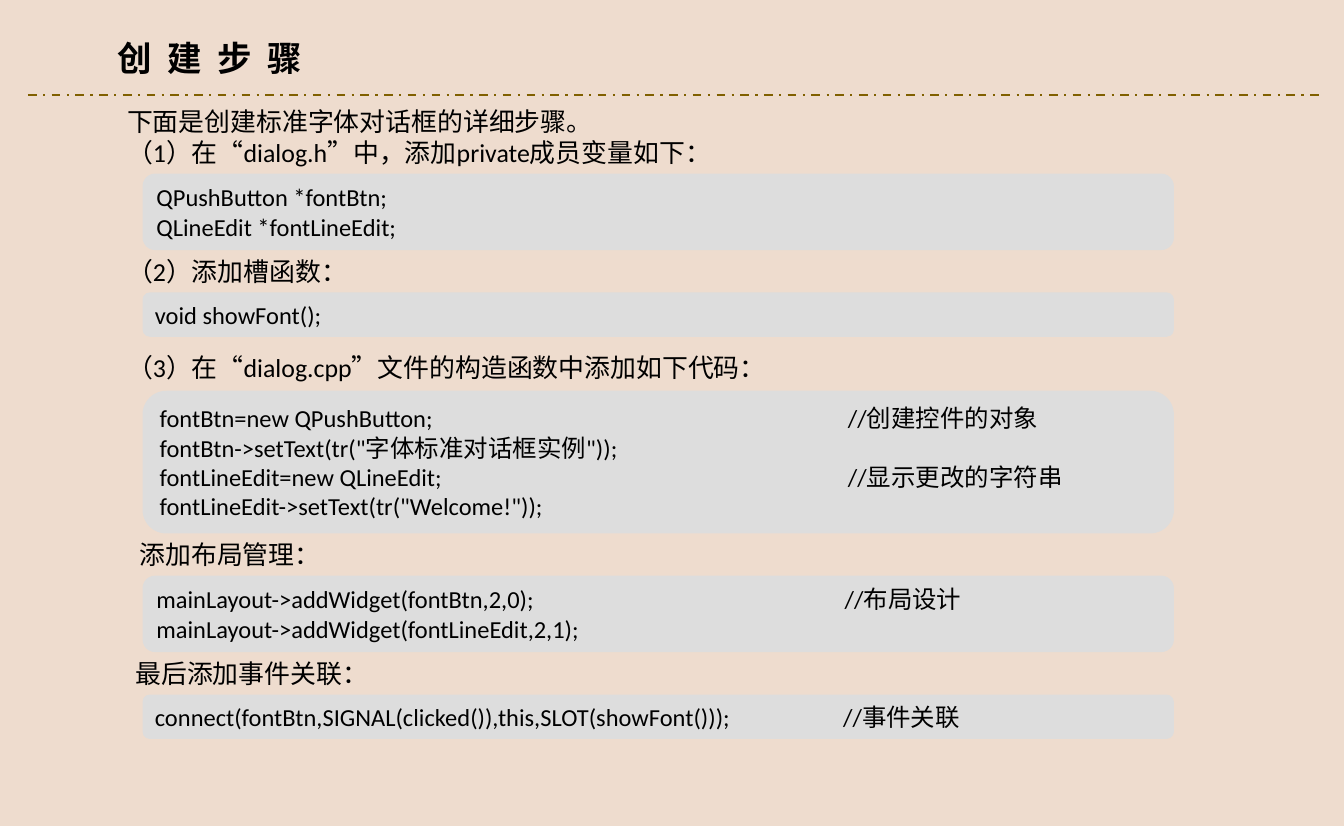
from lxml import etree
from pptx import Presentation
from pptx import util as u
from pptx.dml.color import RGBColor
from pptx.enum import dml, shapes, text
from pptx.oxml import ns

BACKGROUND = "EEDCCE"
CODE_FILL = "DDDDDD"
RULE = "806000"
INK = "000000"
COMMENT_TAB = 479
WIDTH, HEIGHT = 935.37, 575

STEPS = [
    (81.36, 69.84, 51, 53.28,
     ["下面是创建标准字体对话框的详细步骤。", "（1）在“dialog.h”中，添加private成员变量如下："],
     ["QPushButton *fontBtn;", "QLineEdit *fontLineEdit;"]),
    (81.36, 174.24, 29.3, 30.96,
     ["（2）添加槽函数："],
     ["void showFont();"]),
    (81.36, 241.2, 30.8, 99.36,
     ["（3）在“dialog.cpp”文件的构造函数中添加如下代码："],
     ["fontBtn=new QPushButton;\t//创建控件的对象",
      "fontBtn->setText(tr(\"字体标准对话框实例\"));",
      "fontLineEdit=new QLineEdit;\t//显示更改的字符串",
      "fontLineEdit->setText(tr(\"Welcome!\"));"]),
    (90, 371.4, 29.3, 53.28,
     ["添加布局管理："],
     ["mainLayout->addWidget(fontBtn,2,0);\t//布局设计",
      "mainLayout->addWidget(fontLineEdit,2,1);"]),
    (87.12, 454.2, 29.3, 30.96,
     ["最后添加事件关联："],
     ["connect(fontBtn,SIGNAL(clicked()),this,SLOT(showFont()));\t//事件关联"]),
]


def color(value):
    return RGBColor.from_string(value)


def points(*values):
    return [u.Pt(value) for value in values]


def write(shape, lines, size=18, bold=False, tab=None, spacing=None):
    frame = shape.text_frame
    frame.word_wrap = True
    frame.auto_size = text.MSO_AUTO_SIZE.SHAPE_TO_FIT_TEXT
    for index, line in enumerate(lines):
        paragraph = frame.add_paragraph() if index else frame.paragraphs[0]
        paragraph.alignment = text.PP_ALIGN.LEFT
        run = paragraph.add_run()
        run.text = line
        run.font.name = "Calibri"
        run.font.size = u.Pt(size)
        run.font.bold = bold
        run.font.color.rgb = color(INK)
        if spacing:
            run._r.get_or_add_rPr().set("spc", str(round(spacing * 100)))
        if tab and "\t" in line:
            stops = etree.SubElement(paragraph._p.get_or_add_pPr(), ns.qn("a:tabLst"))
            etree.SubElement(stops, ns.qn("a:tab"), pos=str(u.Pt(tab)), algn="l")


def add_header(slide, left, top, width, height):
    title = slide.shapes.add_textbox(*points(left + 55.44, top, 181.44, 36))
    write(title, ["创 建 步 骤"], size=24, bold=True, spacing=2.7)
    bottom = top + height
    rule = slide.shapes.add_connector(
        shapes.MSO_CONNECTOR.STRAIGHT, *points(left, bottom, left + width, bottom))
    rule.line.color.rgb = color(RULE)
    rule.line.width = u.Pt(1.5)
    rule.line.dash_style = dml.MSO_LINE.DASH_DOT
    etree.SubElement(rule._element.spPr, ns.qn("a:effectLst"))


def add_step(slide, left, top, width, heading_left, heading_height, code_height,
             heading, code):
    caption = slide.shapes.add_textbox(*points(heading_left, top, 468, heading_height))
    write(caption, heading)
    panel = slide.shapes.add_shape(
        shapes.MSO_SHAPE.ROUNDED_RECTANGLE,
        *points(left, top + heading_height, width, code_height))
    panel.shadow.inherit = False
    panel.fill.solid()
    panel.fill.fore_color.rgb = color(CODE_FILL)
    panel.line.fill.background()
    write(panel, code, size=17, tab=COMMENT_TAB)


def main():
    presentation = Presentation()
    presentation.slide_width, presentation.slide_height = points(WIDTH, HEIGHT)
    slide = presentation.slides.add_slide(presentation.slide_layouts[6])
    slide.background.fill.solid()
    slide.background.fill.fore_color.rgb = color(BACKGROUND)
    add_header(slide, 19.44, 22.32, 901.44, 43.92)
    for heading_left, top, heading_height, code_height, heading, code in STEPS:
        add_step(slide, 99.2, top, 717.84, heading_left, heading_height, code_height,
                 heading, code)
    presentation.save("out.pptx")


if __name__ == "__main__":
    main()
